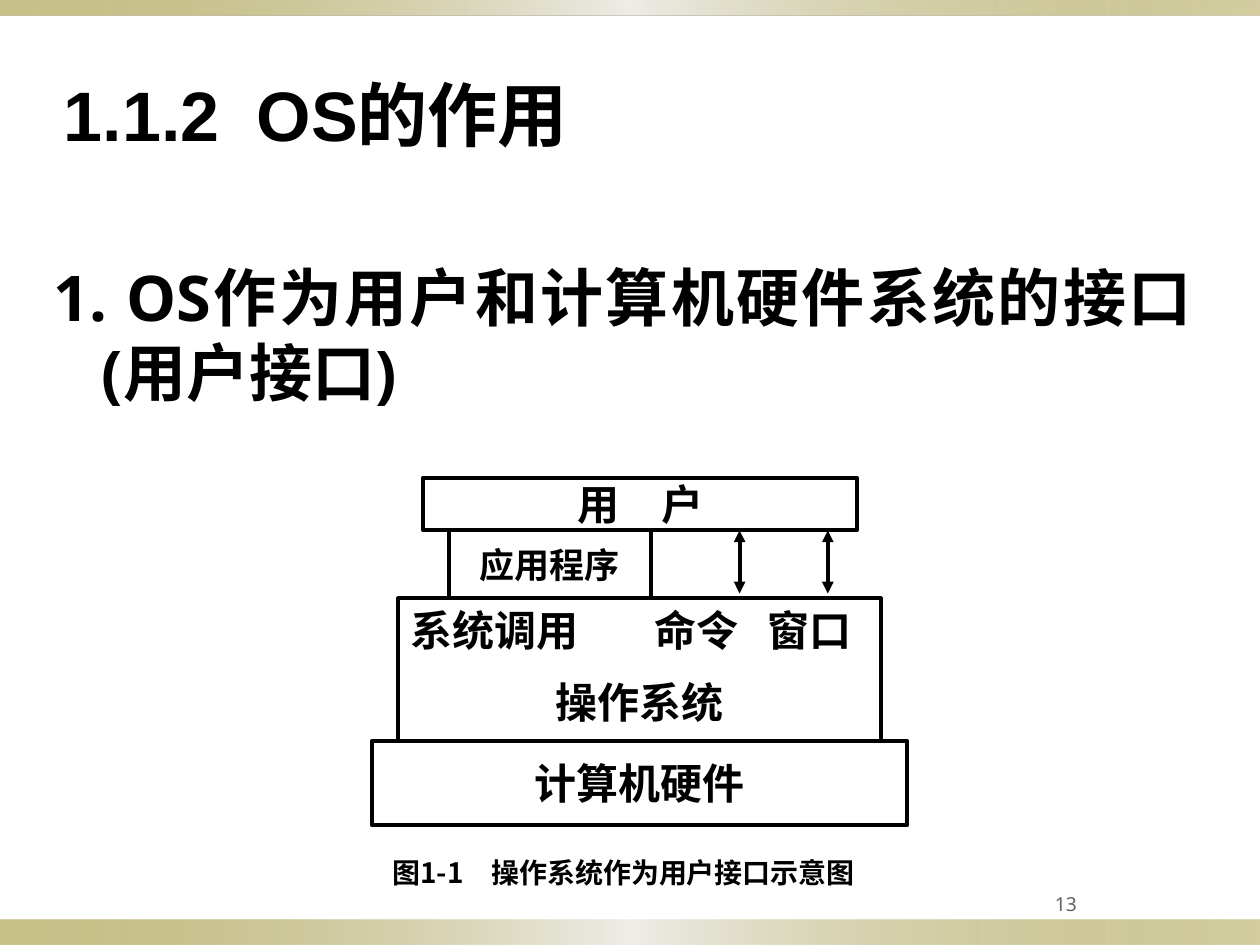
from lxml import etree
from pptx import Presentation
from pptx.dml.color import RGBColor
from pptx.enum.shapes import MSO_CONNECTOR, MSO_SHAPE
from pptx.enum.text import MSO_ANCHOR, PP_ALIGN
from pptx.oxml import parse_xml
from pptx.oxml.ns import nsdecls, qn
from pptx.util import Inches, Pt


def rgb(value):
    return RGBColor.from_string(value)


def write(shape, paragraphs, size, font, align=PP_ALIGN.CENTER, anchor=MSO_ANCHOR.MIDDLE,
          color="000000", bold=True, wrap=True, tabs=()):
    frame = shape.text_frame
    frame.word_wrap = wrap
    frame.vertical_anchor = anchor
    for i, text in enumerate(paragraphs):
        paragraph = frame.add_paragraph() if i else frame.paragraphs[0]
        paragraph.alignment = align
        run = paragraph.add_run()
        run.text = text
        run.font.size = Pt(size)
        run.font.name = font
        run.font.bold = bold
        run.font.color.rgb = rgb(color)
        east_asian = etree.SubElement(run.font._element, qn("a:ea"))
        east_asian.set("typeface", "Noto Sans CJK SC")
        if "\t" in text:
            tab_list = etree.SubElement(paragraph._p.get_or_add_pPr(), qn("a:tabLst"))
            for position in tabs:
                etree.SubElement(tab_list, qn("a:tab"), pos=str(Inches(position)), algn="l")
    return frame


prs = Presentation()
prs.slide_width, prs.slide_height = Inches(10), Inches(7.5)
slide = prs.slides.add_slide(prs.slide_layouts[6])
shapes = slide.shapes

for top, height in [(7.3, 0.2), (0, 0.12)]:
    band = shapes.add_shape(MSO_SHAPE.RECTANGLE, 0, Inches(top), Inches(10), Inches(height))
    band.shadow.inherit = False
    band.line.fill.background()
    gradient = parse_xml(
        f'<a:gradFill {nsdecls("a")} rotWithShape="1"><a:gsLst>'
        '<a:gs pos="0"><a:srgbClr val="918415"><a:alpha val="50000"/></a:srgbClr></a:gs>'
        '<a:gs pos="50000"><a:srgbClr val="EEEDE8"/></a:gs>'
        '<a:gs pos="100000"><a:srgbClr val="918415"><a:alpha val="40000"/></a:srgbClr></a:gs>'
        '</a:gsLst><a:lin ang="0" scaled="0"/></a:gradFill>')
    band._element.spPr.find(qn("a:prstGeom")).addnext(gradient)

title = shapes.add_textbox(Inches(0.41), Inches(0.52), Inches(6.83), Inches(0.77))
write(title, ["1.1.2\tOS的作用"], 40, "Arial", PP_ALIGN.LEFT, MSO_ANCHOR.TOP, tabs=[1.53])

body = shapes.add_textbox(Inches(0.33), Inches(2), Inches(9.23), Inches(2))
frame = write(body, ["1. OS作为用户和计算机硬件系统的接口(用户接口)"], 36, "Noto Sans",
              PP_ALIGN.JUSTIFY, MSO_ANCHOR.TOP)
indent = frame.paragraphs[0]._p.get_or_add_pPr()
indent.set("marL", str(Inches(0.38)))
indent.set("indent", str(-Inches(0.38)))

number = shapes.add_textbox(Inches(7.42), Inches(6.92), Inches(2.08), Inches(0.5))
write(number, ["13"], 11, "Noto Sans", color="636363", bold=False)

layers = [
    (3.36, 3.79, 3.44, 0.42, ["用\u3000户"], 24),
    (3.16, 4.75, 3.83, 1.13, ["系统调用\t命令\t窗口", "操作系统"], 24),
    (3.56, 4.21, 1.61, 0.54, ["应用程序"], 20),
    (2.95, 5.88, 4.25, 0.67, ["计算机硬件"], 24),
]
for left, top, width, height, lines, size in layers:
    box = shapes.add_shape(MSO_SHAPE.RECTANGLE, Inches(left), Inches(top),
                           Inches(width), Inches(height))
    box.shadow.inherit = False
    box.fill.background()
    box.line.color.rgb = rgb("000000")
    box.line.width = Pt(2.25)
    several = len(lines) > 1
    frame = write(box, lines, size, "Times New Roman", wrap=several, tabs=[1.94, 2.83],
                  anchor=MSO_ANCHOR.TOP if several else MSO_ANCHOR.MIDDLE)
    if several:
        frame.paragraphs[0].alignment = PP_ALIGN.LEFT
        frame.paragraphs[1].space_before = Pt(12)

for x in (5.87, 6.57):
    arrow = shapes.add_connector(MSO_CONNECTOR.STRAIGHT, Inches(x), Inches(4.21),
                                 Inches(x), Inches(4.71))
    arrow.line.color.rgb = rgb("000000")
    arrow.line.width = Pt(2.25)
    for end in ("a:headEnd", "a:tailEnd"):
        etree.SubElement(arrow.line._get_or_add_ln(), qn(end), type="triangle")
    etree.SubElement(arrow._element.spPr, qn("a:effectLst"))

caption = shapes.add_textbox(Inches(2.95), Inches(6.74), Inches(4), Inches(0.37))
write(caption, ["图1-1\u3000操作系统作为用户接口示意图"], 16, "Noto Sans CJK SC",
      anchor=MSO_ANCHOR.TOP)

prs.save("out.pptx")
